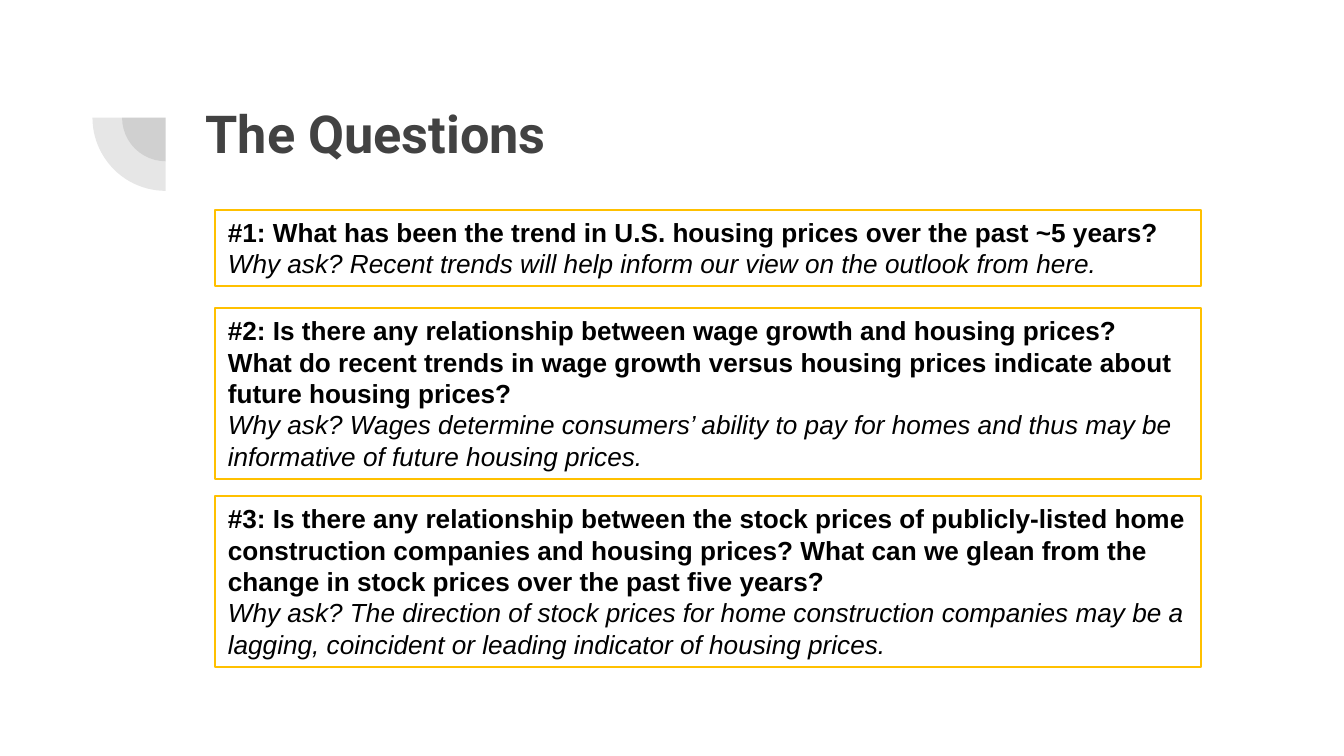
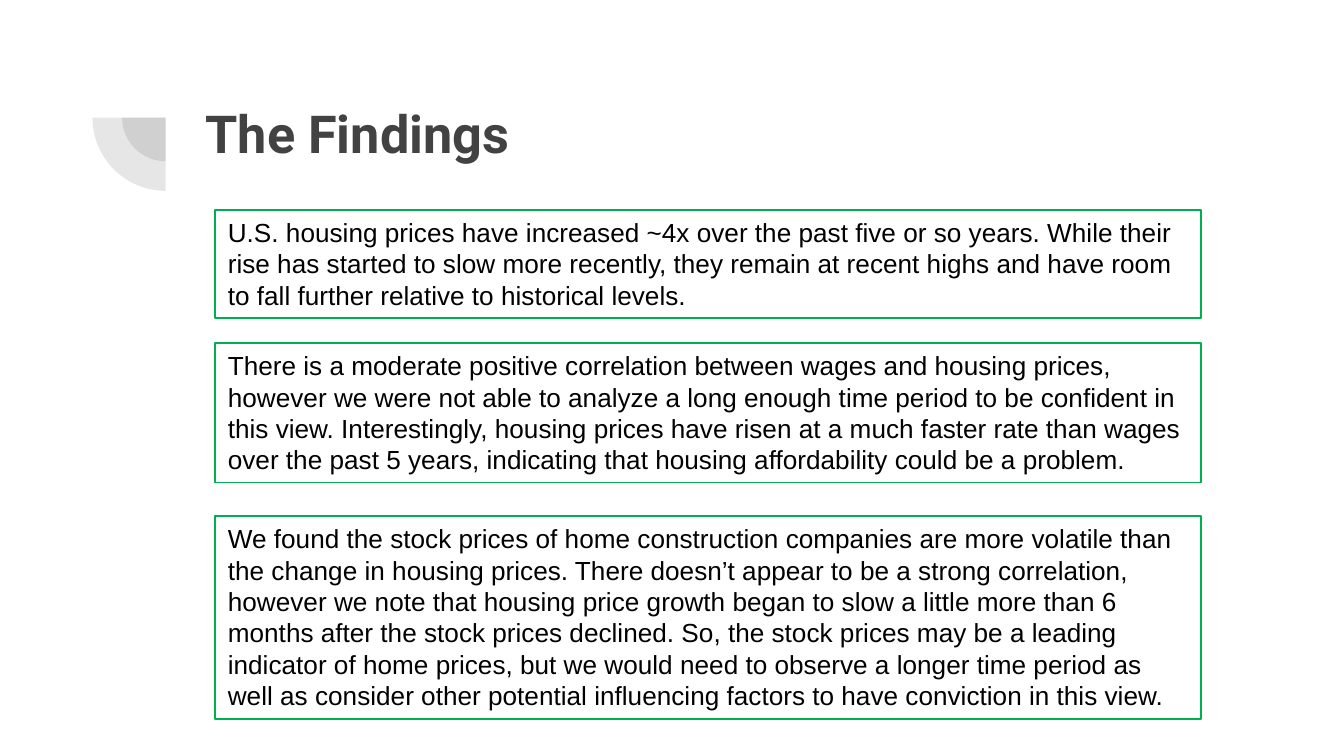
from lxml import etree
from pptx import Presentation
from pptx.dml.color import RGBColor
from pptx.enum import shapes, text
from pptx.oxml import ns
from pptx.util import Pt

CHARCOAL = RGBColor(0x42, 0x42, 0x42)
BLACK = RGBColor(0, 0, 0)
AMBER = RGBColor(0xFF, 0xC0, 0x00)
GREEN = RGBColor(0x00, 0xB0, 0x50)

BOX_LEFT, BOX_WIDTH = 115, 528.5
LINE_HEIGHT, BOX_PADDING = 16.9, 7.2
PIE_CENTER = (88.8, 63)

# Each box: top, number of lines, paragraphs of (text, style) spans.
QUESTIONS = [
    (112.3, 2, [
        [("#1: What has been the trend in U.S. housing prices over the past ~5 years? ", "bold"),
         ("Why ask? Recent trends will help inform our view on the outlook from here.", "italic")],
    ]),
    (165, 5, [
        [("#2: Is there any relationship between wage growth and housing prices? What do recent "
          "trends in wage growth versus housing prices indicate about future housing prices?", "bold")],
        [("Why ask? Wages determine consumers’ ability to pay for homes and thus may be "
          "informative of future housing prices.", "italic")],
    ]),
    (265.7, 5, [
        [("#3: Is there any relationship between the stock prices of publicly-listed home "
          "construction companies and housing prices? What can we glean from the change in "
          "stock prices over the past five years?", "bold")],
        [("Why ask? The direction of stock prices for home construction companies may be a "
          "lagging, coincident or leading indicator of housing prices.", "italic")],
    ]),
]

FINDINGS = [
    (112.3, 3, [
        [("U.S. housing prices have increased ~4x over the past five or so years. While their "
          "rise has started to slow more recently, they remain at recent highs and have room "
          "to fall further relative to historical levels.", "plain")],
    ]),
    (183.7, 4, [
        [("There is a moderate positive correlation between wages and housing prices, however we "
          "were not able to analyze a long enough time period to be confident in this view. "
          "Interestingly, housing prices have risen at a much faster rate than wages over the "
          "past 5 years, indicating that housing affordability could be a problem.", "plain")],
    ]),
    (276.5, 6, [
        [("We found the stock prices of home construction companies are more volatile than the "
          "change in housing prices. There doesn’t appear to be a strong correlation, however we "
          "note that housing price growth began to slow a little more than 6 months after the "
          "stock prices declined. So, the stock prices may be a leading indicator of home prices, "
          "but we would need to observe a longer time period as well as consider other potential "
          "influencing factors to have conviction in this view.", "plain")],
    ]),
]


def add_span(para, words, font, size, color, style="plain"):
    span = para.add_run()
    span.text = words
    span.font.name = font
    span.font.size = Pt(size)
    span.font.color.rgb = color
    span.font.bold = style == "bold"
    span.font.italic = style == "italic"


def add_quarter_pie(page, diameter):
    """Draw a faint quarter disc, turned to the lower left of the shared centre."""
    left, top = (Pt(middle - diameter / 2) for middle in PIE_CENTER)
    pie = page.shapes.add_shape(shapes.MSO_SHAPE.PIE, left, top, Pt(diameter), Pt(diameter))
    pie.adjustments[0] = 108
    pie.adjustments[1] = 162
    pie.rotation = 270
    pie.shadow.inherit = False
    pie.line.fill.background()
    pie.fill.solid()
    pie.fill.fore_color.rgb = CHARCOAL
    color = pie.fill._xPr.find(ns.qn("a:solidFill"))[0]
    etree.SubElement(color, ns.qn("a:alpha"), val="13000")


def add_title(page, words):
    box = page.shapes.add_textbox(Pt(103), Pt(46.8), Pt(553.7), Pt(78.5))
    frame = box.text_frame
    frame.word_wrap = True
    frame.margin_left = frame.margin_right = Pt(7.2)
    frame.margin_top = frame.margin_bottom = Pt(7.2)
    add_span(frame.paragraphs[0], words, "Roboto", 28, CHARCOAL, "bold")


def add_outlined_box(page, top, line_count, paragraphs, color):
    height = line_count * LINE_HEIGHT + BOX_PADDING
    box = page.shapes.add_shape(shapes.MSO_SHAPE.RECTANGLE, Pt(BOX_LEFT), Pt(top),
                                Pt(BOX_WIDTH), Pt(height))
    box.shadow.inherit = False
    box.fill.background()
    box.line.color.rgb = color
    box.line.width = Pt(1)
    frame = box.text_frame
    frame.word_wrap = True
    frame.auto_size = text.MSO_AUTO_SIZE.SHAPE_TO_FIT_TEXT
    frame.vertical_anchor = text.MSO_ANCHOR.TOP
    for index, spans in enumerate(paragraphs):
        para = frame.add_paragraph() if index else frame.paragraphs[0]
        para.alignment = text.PP_ALIGN.LEFT
        for words, style in spans:
            add_span(para, words, "Arial", 14, BLACK, style)


def add_page(deck, title, boxes, color):
    page = deck.slides.add_slide(deck.slide_layouts[6])
    for diameter in (46.8, 78.5):
        add_quarter_pie(page, diameter)
    add_title(page, title)
    for top, line_count, paragraphs in boxes:
        add_outlined_box(page, top, line_count, paragraphs, color)


def main():
    deck = Presentation()
    deck.slide_width, deck.slide_height = Pt(720), Pt(405)
    add_page(deck, "The Questions", QUESTIONS, AMBER)
    add_page(deck, "The Findings", FINDINGS, GREEN)
    deck.save("out.pptx")


if __name__ == "__main__":
    main()
